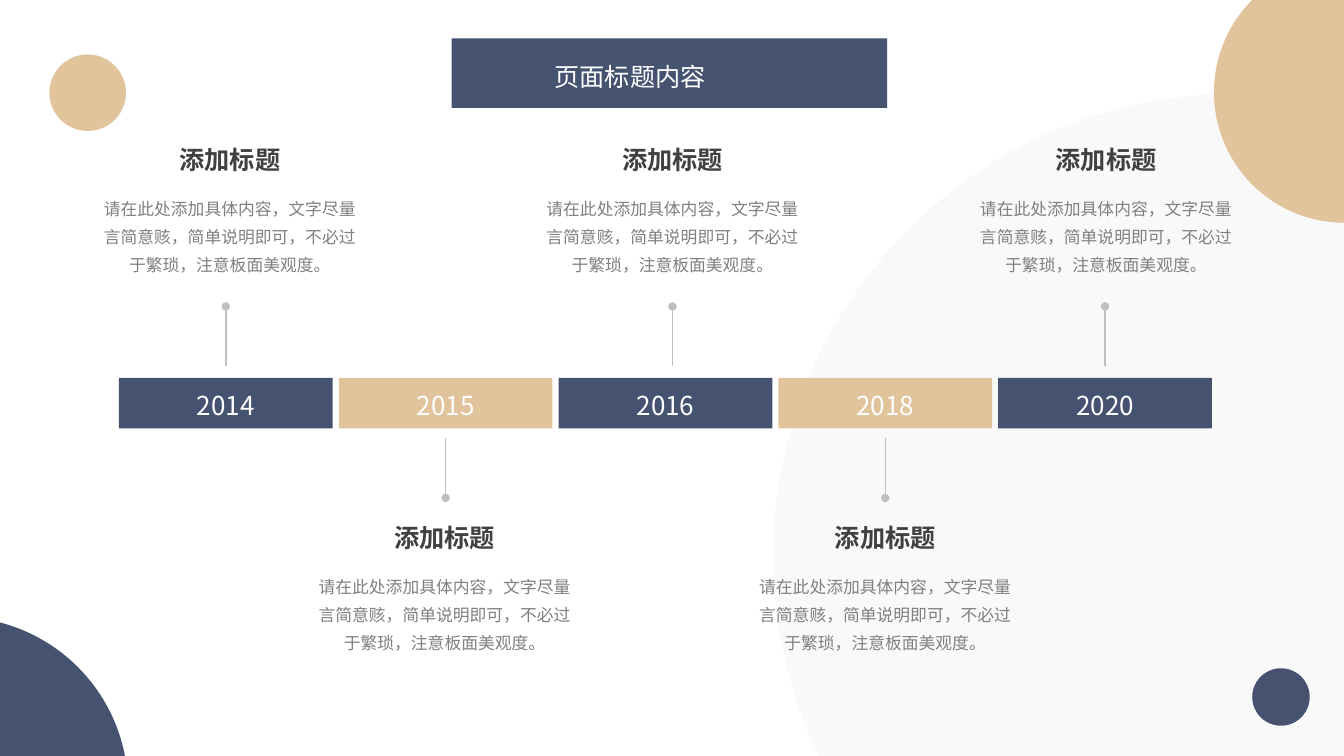
from lxml import etree
from pptx import Presentation
from pptx.dml.color import RGBColor
from pptx.enum import shapes, text
from pptx.oxml.ns import qn
from pptx.util import Inches, Pt

FONT = "Noto Sans CJK SC"
COLORS = {
    "navy": "455371", "sand": "E1C49C", "pale": "F2F2F2", "white": "FFFFFF",
    "stem": "BFBFBF", "heading": "404040", "body": "808080",
}
PAGE_TITLE = "页面标题内容"
HEADING = "添加标题"
BODY = "请在此处添加具体内容，文字尽量言简意赅，简单说明即可，不必过于繁琐，注意板面美观度。"
# year, centre of the stem, centre of the text
MILESTONES = [
    ("2014", 2.24, 2.28),
    ("2015", 4.42, 4.41),
    ("2016", 6.67, 6.67),
    ("2018", 8.78, 8.78),
    ("2020", 10.96, 10.97),
]
# left, top, diameter, colour, opacity in percent
CIRCLES = [
    (7.67, 0.93, 9.17, "pale", 44),
    (-2.13, 6.12, 3.4, "navy", 100),
    (12.04, -0.38, 2.59, "sand", 100),
    (12.42, 6.63, 0.57, "navy", 100),
    (0.49, 0.54, 0.76, "sand", 100),
]
BAR_LEFT, BAR_TOP, BAR_WIDTH, BAR_HEIGHT, BAR_STEP = 1.18, 3.75, 2.12, 0.5, 2.18
HEADING_SIZE, BODY_SIZE = (1.78, 0.4), (2.74, 0.91)
BODY_DROP = 0.46  # from heading top to body top
ABOVE = {"heading": 1.38, "near": 3.63, "far": 3.04}
BELOW = {"heading": 5.13, "near": 4.35, "far": 4.94}

YEAR_FORMAT = {"size": Pt(18.6), "color": "white"}
TITLE_FORMAT = {"size": Pt(18), "color": "white"}
HEADING_FORMAT = {"size": Pt(18), "bold": True, "color": "heading"}
BODY_FORMAT = {"size": Pt(12), "color": "body"}

prs = Presentation()
prs.slide_width, prs.slide_height = Inches(13.33), Inches(7.5)
slide = prs.slides.add_slide(prs.slide_layouts[6])


def rgb(name):
    return RGBColor.from_string(COLORS[name])


def add_solid(kind, left, top, width, height, color):
    solid = slide.shapes.add_shape(kind, *map(Inches, (left, top, width, height)))
    solid.shadow.inherit = False
    solid.fill.solid()
    solid.fill.fore_color.rgb = rgb(color)
    solid.line.fill.background()
    return solid


def write(frame, words, style, align=text.PP_ALIGN.CENTER):
    frame.word_wrap = True
    paragraph = frame.paragraphs[0]
    paragraph.alignment = align
    run = paragraph.add_run()
    run.text = words
    run.font.name = FONT
    for key, value in style.items():
        if key == "color":
            run.font.color.rgb = rgb(value)
        else:
            setattr(run.font, key, value)
    etree.SubElement(run.font._element, qn("a:ea"), typeface=FONT)
    return paragraph


def add_label(center, top, size, words, style):
    width, height = size
    label = slide.shapes.add_textbox(
        *map(Inches, (center - width / 2, top, width, height)))
    return write(label.text_frame, words, style)


def add_stem(x, near, far):
    """Line from the bar side to the text side, ending in a dot."""
    stem = slide.shapes.add_connector(
        shapes.MSO_CONNECTOR.STRAIGHT, *map(Inches, (x, near, x, far)))
    stem.line.color.rgb = rgb("stem")
    stem.line.width = Pt(1)
    etree.SubElement(stem.line._get_or_add_ln(), qn("a:tailEnd"), type="oval")
    etree.SubElement(stem._element.spPr, qn("a:effectLst"))


for left, top, diameter, color, opacity in CIRCLES:
    circle = add_solid(shapes.MSO_SHAPE.OVAL, left, top, diameter, diameter, color)
    if opacity < 100:
        tint = circle._element.spPr.find(".//" + qn("a:srgbClr"))
        etree.SubElement(tint, qn("a:alpha"), val=str(opacity * 1000))

banner = add_solid(shapes.MSO_SHAPE.RECTANGLE, 4.48, 0.38, 4.32, 0.69, "navy")
banner.text_frame.margin_left = Inches(1.02)
banner.text_frame.margin_top, banner.text_frame.margin_bottom = Inches(0.07), 0
write(banner.text_frame, PAGE_TITLE, TITLE_FORMAT, text.PP_ALIGN.JUSTIFY)

for i, (year, stem_x, text_x) in enumerate(MILESTONES):
    side, color = (BELOW, "sand") if i % 2 else (ABOVE, "navy")
    bar = add_solid(shapes.MSO_SHAPE.RECTANGLE, BAR_LEFT + i * BAR_STEP, BAR_TOP,
                    BAR_WIDTH, BAR_HEIGHT, color)
    bar.text_frame.margin_top, bar.text_frame.margin_bottom = Inches(0.04), 0
    write(bar.text_frame, year, YEAR_FORMAT)
    add_stem(stem_x, side["near"], side["far"])
    add_label(text_x, side["heading"], HEADING_SIZE, HEADING, HEADING_FORMAT)
    body = add_label(text_x, side["heading"] + BODY_DROP, BODY_SIZE, BODY, BODY_FORMAT)
    body.line_spacing = Pt(20)

prs.save("out.pptx")
